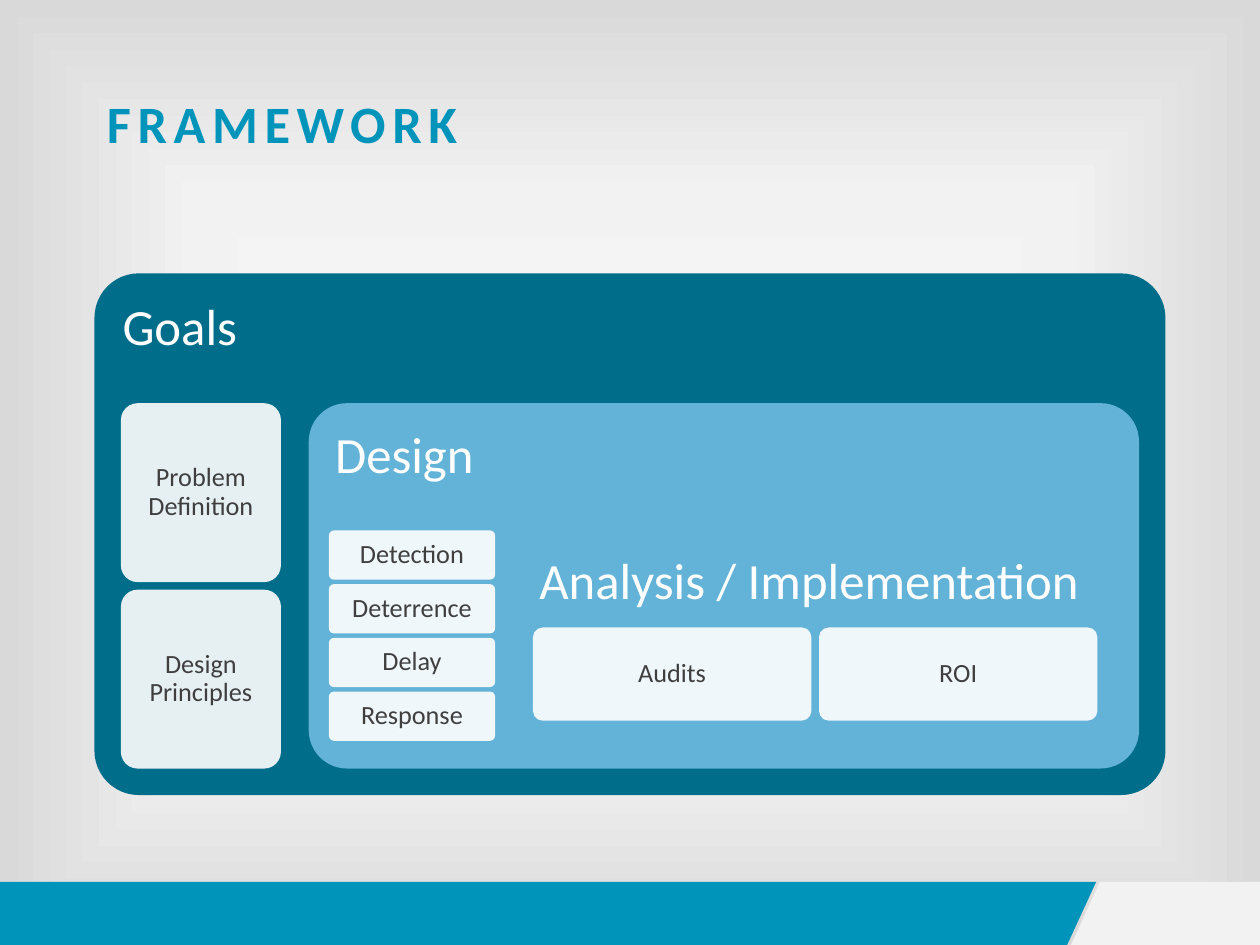
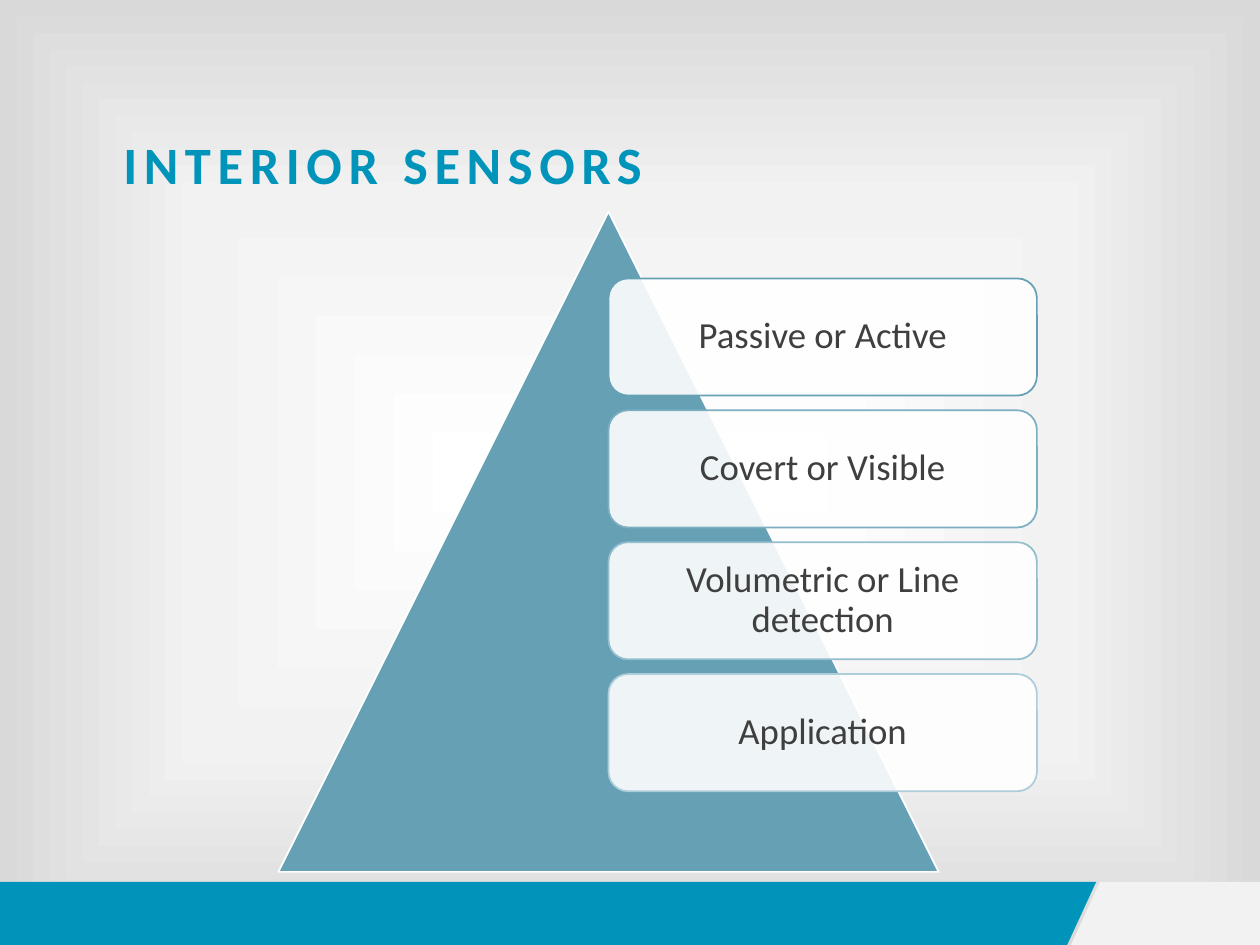
from typing import NamedTuple, Optional

from lxml import etree
from pptx import Presentation
from pptx import util as u
from pptx.dml.color import RGBColor
from pptx.enum import shapes, text
from pptx.oxml import ns

# The slide is a grid of 100 columns by 75 rows of square cells.
COLUMNS, ROWS = 100, 75
CELL = u.Inches(0.1)
FOOTER_TOP = 70

FONT = "Calibri"
WHITE = RGBColor(0xFF, 0xFF, 0xFF)
PALE_GRAY = RGBColor(0xF2, 0xF2, 0xF2)
EDGE_GRAY = RGBColor(0xD9, 0xD9, 0xD9)
TEXT_GRAY = RGBColor(0x3F, 0x3F, 0x3F)
ACCENT = RGBColor(0x00, 0x94, 0xBB)
GOALS_BLUE = RGBColor(0x00, 0x6D, 0x8A)
DESIGN_BLUE = RGBColor(0x63, 0xB2, 0xD7)
PYRAMID_BLUE = RGBColor(0x65, 0xA0, 0xB5)
SENSOR_LINES = (
    PYRAMID_BLUE,
    RGBColor(0x7C, 0xAF, 0xC2),
    RGBColor(0x94, 0xBE, 0xCE),
    RGBColor(0xAD, 0xCD, 0xDA),
)
BACKGROUND_STOPS = ((0, WHITE), (58, PALE_GRAY), (100, EDGE_GRAY))


class Area(NamedTuple):
    """A rectangle in grid columns and rows."""
    column: float
    row: float
    width: float
    height: float

    def lengths(self) -> list:
        return [cells(value) for value in self]

    def split_rows(self, count: int, gap: float) -> list:
        height = (self.height - gap * (count - 1)) / count
        return [Area(self.column, self.row + i * (height + gap), self.width, height)
                for i in range(count)]

    def split_columns(self, count: int, gap: float) -> list:
        width = (self.width - gap * (count - 1)) / count
        return [Area(self.column + i * (width + gap), self.row, width, self.height)
                for i in range(count)]


class TextStyle(NamedTuple):
    size: float
    color: RGBColor
    inset: float
    align: text.PP_ALIGN = text.PP_ALIGN.CENTER
    anchor: text.MSO_ANCHOR = text.MSO_ANCHOR.MIDDLE


class BoxStyle(NamedTuple):
    fill: RGBColor
    label: TextStyle
    rounding: float = 0.105
    opacity: int = 100


class Band(NamedTuple):
    color: RGBColor
    corners: tuple


class Stack(NamedTuple):
    areas: list
    labels: tuple


HEADING = TextStyle(29, WHITE, 1.2, text.PP_ALIGN.LEFT, text.MSO_ANCHOR.TOP)
GOALS_PANEL = BoxStyle(GOALS_BLUE, HEADING, rounding=0.085)
DESIGN_PANEL = BoxStyle(DESIGN_BLUE, HEADING)
TOPIC = BoxStyle(WHITE, TextStyle(15, TEXT_GRAY, 0.6), opacity=90)
SENSOR = BoxStyle(WHITE, TextStyle(21, TEXT_GRAY, 0.9), rounding=0.167, opacity=90)

FOOTER_BANDS = (
    Band(ACCENT, ((0, FOOTER_TOP), (87, FOOTER_TOP), (84.7, ROWS), (0, ROWS))),
    Band(PALE_GRAY, ((87.3, FOOTER_TOP), (COLUMNS, FOOTER_TOP), (COLUMNS, ROWS), (85, ROWS))),
)


def cells(count: float) -> u.Emu:
    return u.Emu(round(count * CELL))


def set_background(master) -> None:
    """Give every slide a gradient that darkens from the centre to the edges."""
    master.background.fill.gradient()
    gradient = master.element.find(".//" + ns.qn("a:gradFill"))
    for child in list(gradient):
        gradient.remove(child)
    stops = etree.SubElement(gradient, ns.qn("a:gsLst"))
    for position, color in BACKGROUND_STOPS:
        stop = etree.SubElement(stops, ns.qn("a:gs"), pos=str(position * 1000))
        etree.SubElement(stop, ns.qn("a:srgbClr"), val=str(color))
    rectangle = etree.SubElement(gradient, ns.qn("a:path"), path="rect")
    center = {side: "50000" for side in "ltrb"}
    etree.SubElement(rectangle, ns.qn("a:fillToRect"), center)


def paint(shape, fill: RGBColor, line: Optional[RGBColor] = None, opacity: int = 100) -> None:
    shape.shadow.inherit = False
    shape.fill.solid()
    shape.fill.fore_color.rgb = fill
    if opacity < 100:
        color = shape.fill._xPr.find(".//" + ns.qn("a:srgbClr"))
        etree.SubElement(color, ns.qn("a:alpha"), val=str(opacity * 1000))
    if line is None:
        shape.line.fill.background()
    else:
        shape.line.color.rgb = line
        shape.line.width = u.Pt(1)


def add_run(paragraph, words: str, size: float, color: RGBColor):
    run = paragraph.add_run()
    run.text = words
    run.font.name = FONT
    run.font.size = u.Pt(size)
    run.font.color.rgb = color
    return run


def add_box(slide, area: Area, label: str, style: BoxStyle,
            line: Optional[RGBColor] = None) -> None:
    shape = slide.shapes.add_shape(shapes.MSO_SHAPE.ROUNDED_RECTANGLE, *area.lengths())
    shape.adjustments[0] = style.rounding
    paint(shape, style.fill, line, style.opacity)
    frame = shape.text_frame
    frame.word_wrap = True
    frame.vertical_anchor = style.label.anchor
    inset = cells(style.label.inset)
    frame.margin_left = frame.margin_right = frame.margin_top = frame.margin_bottom = inset
    paragraph = frame.paragraphs[0]
    paragraph.alignment = style.label.align
    paragraph.line_spacing = 0.9
    add_run(paragraph, label, style.label.size, style.label.color)


def add_title(slide, area: Area, words: str) -> None:
    frame = slide.shapes.add_textbox(*area.lengths()).text_frame
    frame.word_wrap = True
    run = add_run(frame.paragraphs[0], words, 30, ACCENT)
    run.font.bold = True
    run.font._element.set("spc", "380")


def add_base_slide(presentation):
    """Add a blank slide with the footer bands."""
    slide = presentation.slides.add_slide(presentation.slide_layouts[6])
    for band in FOOTER_BANDS:
        start, *others = [(cells(x), cells(y)) for x, y in band.corners]
        builder = slide.shapes.build_freeform(*start)
        builder.add_line_segments(others, close=True)
        paint(builder.convert_to_shape(), band.color)
    return slide


def add_framework_slide(presentation) -> None:
    slide = add_base_slide(presentation)
    add_title(slide, Area(7.5, 6.7, 85, 10.4), "FRAMEWORK")
    add_box(slide, Area(7.5, 21.7, 85, 41.4), "Goals", GOALS_PANEL)
    add_box(slide, Area(24.5, 32, 65.9, 29), "Design", DESIGN_PANEL)
    add_box(slide, Area(41.1, 42.4, 47.2, 16.6), "Analysis / Implementation", DESIGN_PANEL)
    stacks = (
        Stack(Area(9.6, 32, 12.7, 29).split_rows(2, 0.6),
              ("Problem Definition", "Design Principles")),
        Stack(Area(26.1, 42.1, 13.2, 16.7).split_rows(4, 0.35),
              ("Detection", "Deterrence", "Delay", "Response")),
        Stack(Area(42.3, 49.8, 44.8, 7.4).split_columns(2, 0.6),
              ("Audits", "ROI")),
    )
    for stack in stacks:
        for area, label in zip(stack.areas, stack.labels):
            add_box(slide, area, label, TOPIC)


def add_sensors_slide(presentation) -> None:
    slide = add_base_slide(presentation)
    pyramid = slide.shapes.add_shape(
        shapes.MSO_SHAPE.ISOSCELES_TRIANGLE, *Area(22.1, 16.8, 52.4, 52.4).lengths())
    paint(pyramid, PYRAMID_BLUE, WHITE)
    labels = ("Passive or Active", "Covert or Visible",
              "Volumetric or Line detection", "Application")
    areas = Area(48.3, 22.1, 34, 40.7).split_rows(len(labels), 1.17)
    for area, label, line in zip(areas, labels, SENSOR_LINES):
        add_box(slide, area, label, SENSOR, line)
    add_title(slide, Area(8.8, 10, 82.5, 7.7), "INTERIOR SENSORS")


def main() -> None:
    presentation = Presentation()
    presentation.slide_width = cells(COLUMNS)
    presentation.slide_height = cells(ROWS)
    set_background(presentation.slide_master)
    add_framework_slide(presentation)
    add_sensors_slide(presentation)
    presentation.save("out.pptx")


if __name__ == "__main__":
    main()
